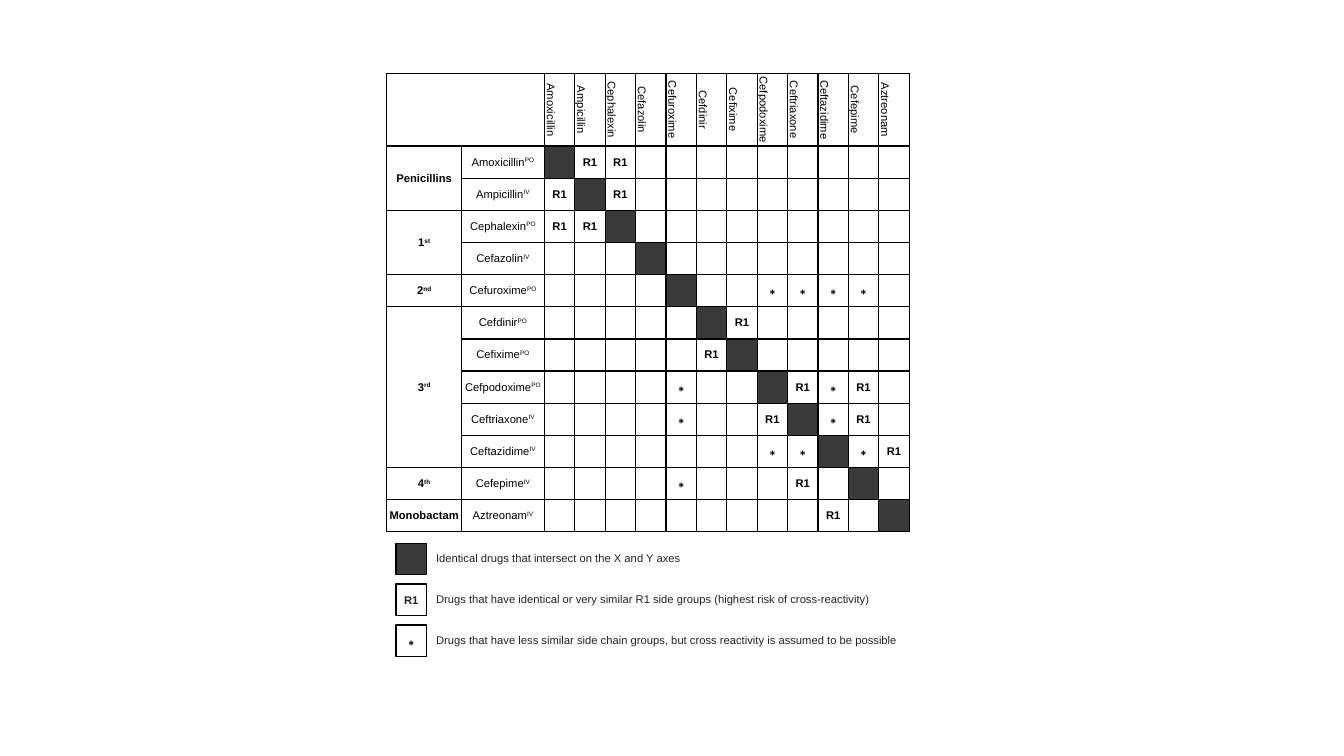
import pptx
import pptx.util
import pptx.dml.color
import pptx.enum.shapes
import pptx.enum.text
from lxml import etree
from pptx.util import Cm, Pt

COLORS = {"black": "000000", "same": "3A3A3A", "legend": "232323"}
A = "http://schemas.openxmlformats.org/drawingml/2006/main"

# drug, route, class, and its row of marks: X same drug, R = R1, * = weaker match
DRUGS = [
    ("Amoxicillin", "PO", ("Penicillins", ""), "XRR........."),
    ("Ampicillin", "IV", None, "RXR........."),
    ("Cephalexin", "PO", ("1", "st"), "RRX........."),
    ("Cefazolin", "IV", None, "...X........"),
    ("Cefuroxime", "PO", ("2", "nd"), "....X..****."),
    ("Cefdinir", "PO", ("3", "rd"), ".....XR....."),
    ("Cefixime", "PO", None, ".....RX....."),
    ("Cefpodoxime", "PO", None, "....*..XR*R."),
    ("Ceftriaxone", "IV", None, "....*..RX*R."),
    ("Ceftazidime", "IV", None, ".......**X*R"),
    ("Cefepime", "IV", ("4", "th"), "....*...R.X."),
    ("Aztreonam", "IV", ("Monobactam", ""), ".........R.X"),
]
MARKS = {"R": ("R1", 8), "*": ("∗", 12)}
LEGEND = [
    ("X", "Identical drugs that intersect on the X and Y axes"),
    ("R", "Drugs that have identical or very similar R1 side groups (highest risk of cross-reactivity)"),
    ("*", "Drugs that have less similar side chain groups, but cross reactivity is assumed to be possible"),
]


def rgb(name):
    return pptx.dml.color.RGBColor.from_string(COLORS[name])


def write(tf, text, raised="", size=8, bold=False, color="black", centered=True):
    """Fill the first paragraph with text followed by an optional superscript."""
    p = tf.paragraphs[0]
    if centered:
        p.alignment = pptx.enum.text.PP_ALIGN.CENTER
    p.font.name = "Arial"
    p.font.size = Pt(size)
    p.font.bold = bold
    p.font.color.rgb = rgb(color)
    if text:
        p.add_run().text = text
    if raised:
        r = p.add_run()
        r.text = raised
        r.font._element.set("baseline", "30000")


prs = pptx.Presentation()
prs.slide_width, prs.slide_height = Cm(33.87), Cm(19.05)
s = prs.slides.add_slide(prs.slide_layouts[6])

# Cross-reactivity table
n = len(DRUGS)
table = s.shapes.add_table(n + 1, n + 2, Cm(9.75), Cm(1.85), Cm(13.17), Cm(11.55)).table
table.first_row = table.horz_banding = False
for i, column in enumerate(table.columns):
    column.width = [Cm(1.88), Cm(2.09)][i] if i < 2 else int(Cm(9.2) / n)
for i, row in enumerate(table.rows):
    row.height = Cm(0.81) if i else Cm(1.83)

for cell in table.iter_cells():
    cell.margin_left = cell.margin_right = cell.margin_top = cell.margin_bottom = 0
    cell.vertical_anchor = pptx.enum.text.MSO_ANCHOR.MIDDLE
    tcPr = cell._tc.get_or_add_tcPr()
    for side in "LRTB":
        ln = etree.SubElement(tcPr, f"{{{A}}}ln{side}", w=str(Pt(1)))
        fill = etree.SubElement(ln, f"{{{A}}}solidFill")
        etree.SubElement(fill, f"{{{A}}}srgbClr", val=COLORS["black"])
    cell.fill.background()

table.cell(0, 0).merge(table.cell(0, 1))
class_rows = [i for i, drug in enumerate(DRUGS, 1) if drug[2]] + [n + 1]
for top, following in zip(class_rows, class_rows[1:]):
    if following - top > 1:
        table.cell(top, 0).merge(table.cell(following - 1, 0))

for i, (drug, route, group, marks) in enumerate(DRUGS, 1):
    header = table.cell(0, i + 1)
    header._tc.tcPr.set("vert", "vert")
    write(header.text_frame, drug)
    if group:
        write(table.cell(i, 0).text_frame, *group, bold=True)
    write(table.cell(i, 1).text_frame, drug, route)
    for j, mark in enumerate(marks, 2):
        cell = table.cell(i, j)
        text, size = MARKS.get(mark, ("", 8))
        write(cell.text_frame, text, size=size, bold=True)
        if mark == "X":
            cell.fill.solid()
            cell.fill.fore_color.rgb = rgb("same")

# Legend
for i, (mark, meaning) in enumerate(LEGEND):
    top = Cm(13.69 + 1.03 * i)
    sp = s.shapes.add_shape(pptx.enum.shapes.MSO_SHAPE.RECTANGLE, Cm(9.98), top, Cm(0.77), Cm(0.79))
    sp.shadow.inherit = False
    sp.line.color.rgb = rgb("black")
    sp.line.width = Pt(1)
    if mark == "X":
        sp.fill.solid()
        sp.fill.fore_color.rgb = rgb("same")
    else:
        sp.fill.background()
        tf = sp.text_frame
        tf.margin_left = tf.margin_right = tf.margin_top = tf.margin_bottom = 0
        text, size = MARKS[mark]
        write(tf, text, size=size, bold=True, color="legend" if mark == "R" else "black")

    box = s.shapes.add_textbox(Cm(10.74), top + Cm(0.09), Cm(12.17), Cm(0.6))
    box.text_frame.word_wrap = True
    write(box.text_frame, meaning, color="legend", centered=False)

prs.save("out.pptx")
